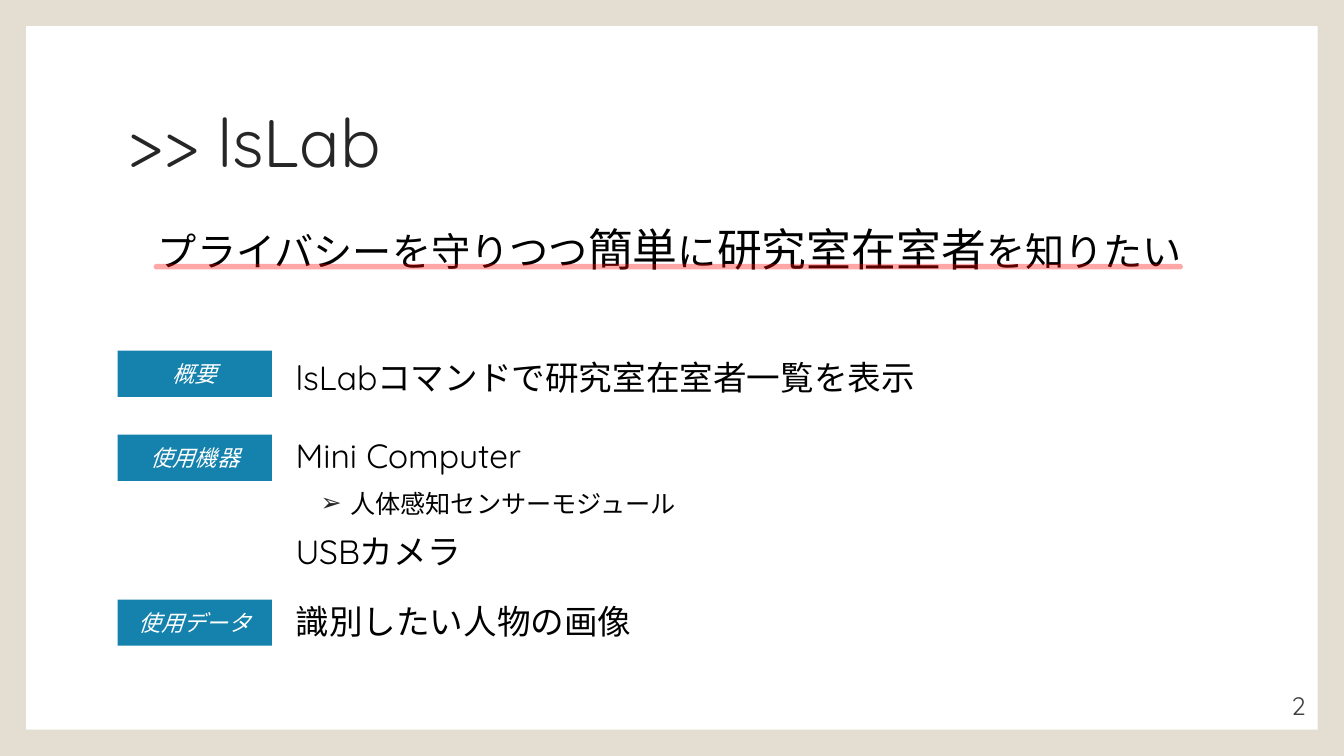
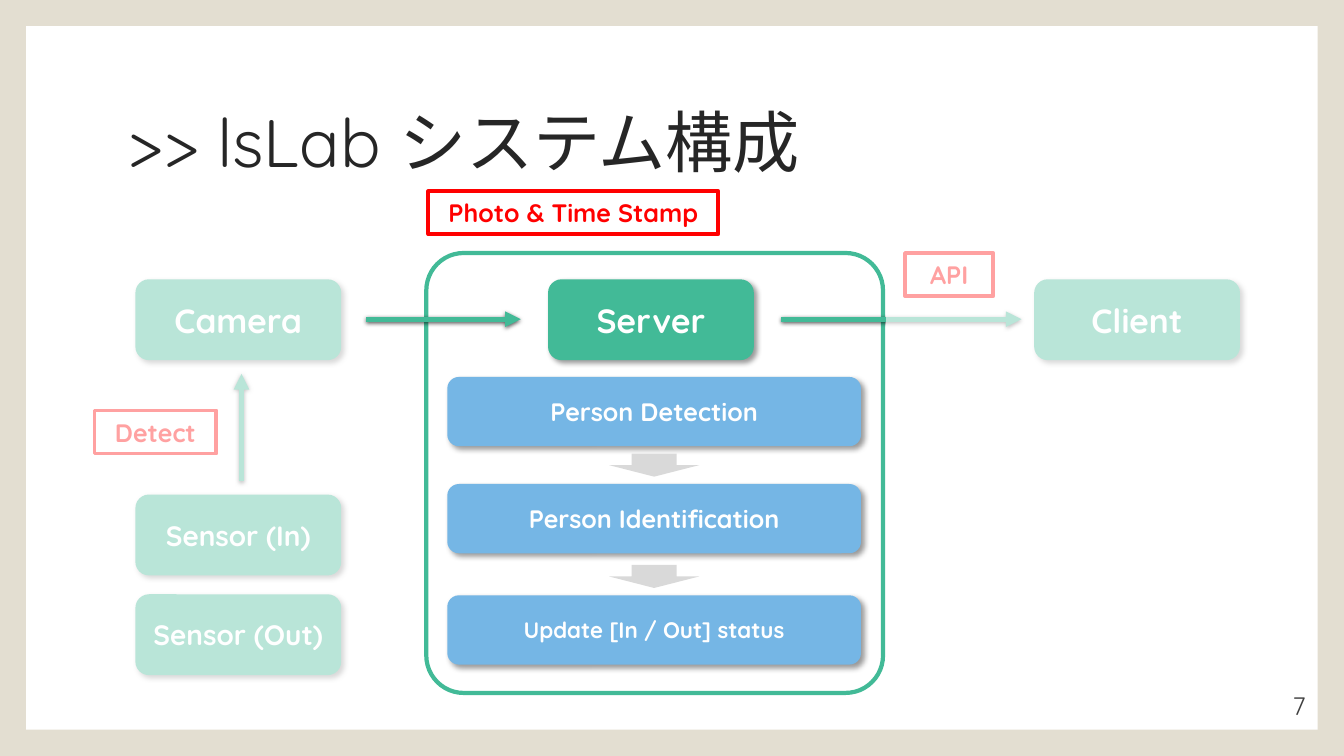
from lxml.etree import SubElement
from pptx import Presentation
from pptx.dml.color import RGBColor
from pptx.enum.shapes import MSO_CONNECTOR as Conn, MSO_SHAPE as Form
from pptx.enum.text import MSO_ANCHOR as Anchor, PP_ALIGN as Align
from pptx.oxml.ns import qn
from pptx.util import Pt

PX = 9525
WIDE, HIGH = 1280, 720
EDGE = 25
FONT, KANJI = "Quicksand", "Noto Sans CJK JP"
SAND, WHITE, BLACK, INK, GREY = "E3DED1", "FFFFFF", "000000", "262626", "404040"
TEAL, GREEN, SKY, RED, SILVER = "1482AC", "42BA97", "75B6E5", "FF0000", "D9D9D9"
SOFT = (40, 4, 3, 45)
THIN = (63, 3, 1, 90)


def px(*nums):
    return [round(n * PX) for n in nums]


def rgb(code):
    return RGBColor.from_string(code)


def fade(props, share):
    """Set the opacity, in percent, of the first solid colour found."""
    tint = next(props.iter(qn("a:srgbClr")))
    SubElement(tint, qn("a:alpha"), val=str(share * 1000))


def shade(props, glow):
    """Replace the effects by one shadow: opacity, blur, distance, angle."""
    for old in props.findall(qn("a:effectLst")):
        props.remove(old)
    box = SubElement(props, qn("a:effectLst"))
    if glow:
        share, blur, dist, turn = glow
        cast = SubElement(box, qn("a:outerShdw"), blurRad=str(Pt(blur)),
                          dist=str(Pt(dist)), dir=str(turn * 60000),
                          algn="tl", rotWithShape="0")
        tint = SubElement(cast, qn("a:srgbClr"), val=BLACK)
        SubElement(tint, qn("a:alpha"), val=str(share * 1000))


def put(para, text, size, color, face=FONT, bold=False, slant=False):
    run = para.add_run()
    run.text = text
    font = run.font
    font.name, font.size = face, Pt(size)
    font.bold, font.italic = bold, slant
    font.color.rgb = rgb(color)
    SubElement(run._r.get_or_add_rPr(), qn("a:ea"), typeface=KANJI)


def area(slide, box, anchor=Anchor.TOP, wrap=True):
    frame = slide.shapes.add_textbox(*px(*box)).text_frame
    frame.word_wrap = wrap
    frame.vertical_anchor = anchor
    return frame


def block(slide, box, form=Form.RECTANGLE, fill=None, line=None, glow=None):
    """Add a shape; line is a (colour, points) pair."""
    shape = slide.shapes.add_shape(form, *px(*box))
    if fill:
        shape.fill.solid()
        shape.fill.fore_color.rgb = rgb(fill)
    else:
        shape.fill.background()
    if line:
        shape.line.color.rgb = rgb(line[0])
        shape.line.width = Pt(line[1])
    else:
        shape.line.fill.background()
    shape.shadow.inherit = False
    if glow:
        shade(shape._element.spPr, glow)
    return shape


def label(shape, text, size, color=WHITE, **style):
    frame = shape.text_frame
    frame.word_wrap = True
    frame.vertical_anchor = Anchor.MIDDLE
    para = frame.paragraphs[0]
    para.alignment = Align.CENTER
    put(para, text, size, color, **style)


def stroke(slide, ends, color, width, glow=None):
    line = slide.shapes.add_connector(Conn.STRAIGHT, *px(*ends))
    line.line.color.rgb = rgb(color)
    line.line.width = Pt(width)
    shade(line._element.spPr, glow)
    return line.line._get_or_add_ln()


def arrow(slide, *ends):
    edge = stroke(slide, ends, GREEN, 3.75, THIN)
    SubElement(edge, qn("a:tailEnd"), type="triangle")


def base(deck, title):
    slide = deck.slides.add_slide(deck.slide_layouts[6])
    slide.background.fill.solid()
    slide.background.fill.fore_color.rgb = rgb(SAND)
    block(slide, (EDGE, EDGE, WIDE - 2 * EDGE, HIGH - 2 * EDGE), fill=WHITE)
    para = area(slide, (112, 67, 1056, 144), Anchor.MIDDLE).paragraphs[0]
    para.line_spacing = 0.9
    put(para, title, 48, INK)
    return slide


def number(slide, text):
    para = area(slide, (1099, 662, 154, 29), Anchor.BOTTOM).paragraphs[0]
    para.alignment = Align.RIGHT
    put(para, text, 18, GREY)


def slogan(slide, x, y):
    para = area(slide, (x, y, 1037, 61), wrap=False).paragraphs[0]
    for text, size in (("プライバシーを守りつつ", 28), ("簡単", 32), ("に", 28),
                       ("研究室在室者", 32), ("を知りたい", 28)):
        put(para, text, size, BLACK, KANJI)
    edge = stroke(slide, (x + 8, y + 48, x + 983, y + 48), RED, 4)
    edge.set("cap", "rnd")
    fade(edge, 35)


def bullet(para):
    props = para._p.get_or_add_pPr()
    left, hang = px(52, -28)
    props.set("marL", str(left))
    props.set("indent", str(hang))
    tint = SubElement(props, qn("a:buClr"))
    SubElement(tint, qn("a:srgbClr"), val=INK)
    SubElement(props, qn("a:buFont"), typeface="Wingdings 3")
    SubElement(props, qn("a:buChar"), char="➢")
    props.find(qn("a:buFont")).set("typeface", "Arial")


def facts(slide, x, y):
    """Place the tags on the left and the lines they name on the right."""
    frame = area(slide, (x + 160, y, 897, 299))
    rows = (("lsLabコマンドで研究室在室者一覧を表示", 0, False),
            ("Mini Computer", 27, False),
            ("人体感知センサーモジュール", 9, True),
            ("USBカメラ", 9, False),
            ("識別したい人物の画像", 21, False))
    for i, (text, gap, sub) in enumerate(rows):
        para = frame.add_paragraph() if i else frame.paragraphs[0]
        if gap:
            para.space_before = Pt(gap)
        if sub:
            bullet(para)
        put(para, text, 18 if sub else 24, BLACK)
    for text, down in (("概要", 0), ("使用機器", 80), ("使用データ", 237)):
        tag = block(slide, (x, y + down - 1, 147, 44), fill=TEAL)
        label(tag, text, 16, slant=True)


def node(slide, x, y, text, size=24):
    shape = block(slide, (x, y, 196, 77), Form.ROUNDED_RECTANGLE, GREEN, glow=SOFT)
    label(shape, text, size, bold=True)


def note(slide, x, y, wide, text):
    shape = block(slide, (x, y, wide, 41), line=(RED, 2.75))
    label(shape, text, 18, RED, bold=True)


def server(slide, x, y):
    """Place the framed server with its three steps."""
    frame = block(slide, (x, y, 435, 419), Form.ROUNDED_RECTANGLE, WHITE, (GREEN, 3))
    frame.adjustments[0] = 0.085
    node(slide, x + 116, y + 25, "Server")
    steps = (("Person Detection", 18, 118), ("Person Identification", 18, 220),
             ("Update [In / Out] status", 16, 326))
    for i, (text, size, down) in enumerate(steps):
        step = block(slide, (x + 20, y + down, 394, 66), Form.ROUNDED_RECTANGLE,
                     SKY, glow=SOFT)
        label(step, text, size, bold=True)
        if i:
            block(slide, (x + 174, y + down - 29, 86, 22), Form.DOWN_ARROW, SILVER)


def veil(slide, *box):
    shape = block(slide, box, fill=WHITE)
    fade(shape._element.spPr, 63)


def intro(deck):
    slide = base(deck, ">> lsLab")
    facts(slide, 112, 335)
    slogan(slide, 141, 206)
    number(slide, "2")


def system(deck):
    slide = base(deck, ">> lsLab システム構成")
    server(slide, 406, 241)
    node(slide, 129, 266, "Camera")
    node(slide, 985, 266, "Client")
    for text, y in (("Sensor (In)", 471), ("Sensor (Out)", 566)):
        node(slide, 129, y, text, 20)
    arrow(slide, 349, 304, 496, 304)
    arrow(slide, 230, 458, 230, 356)
    arrow(slide, 744, 304, 973, 304)
    note(slide, 408, 182, 276, "Photo & Time Stamp")
    note(slide, 90, 391, 116, "Detect")
    note(slide, 862, 241, 84, "API")
    veil(slide, 52, 178, 287, 510)
    veil(slide, 844, 156, 370, 510)
    number(slide, "7")


def main():
    deck = Presentation()
    deck.slide_width, deck.slide_height = px(WIDE, HIGH)
    intro(deck)
    system(deck)
    deck.save("out.pptx")


if __name__ == "__main__":
    main()
